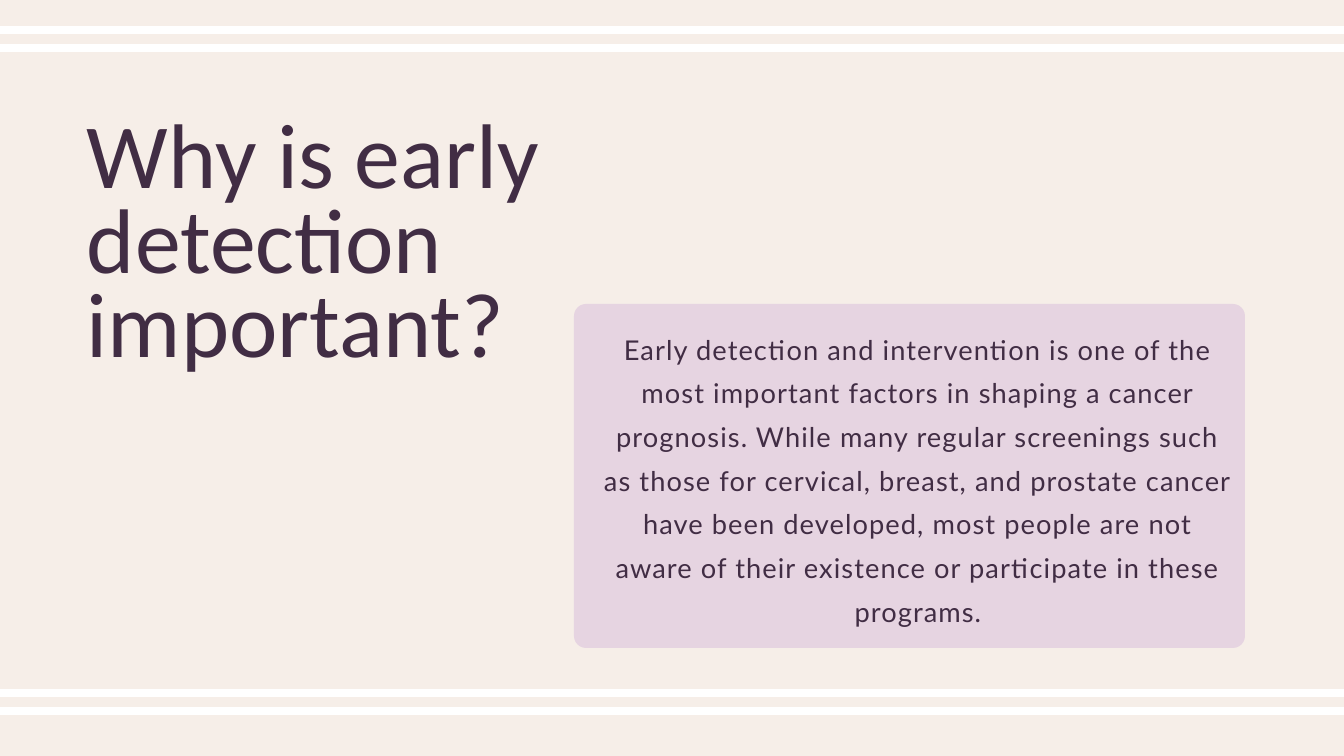
from lxml import etree
from pptx import Presentation
from pptx.dml.color import RGBColor
from pptx.enum.shapes import MSO_CONNECTOR as Connector, MSO_SHAPE as Shape
from pptx.enum.text import MSO_AUTO_SIZE as AutoSize, PP_ALIGN as Align
from pptx.oxml.ns import qn
from pptx.util import Emu, Pt

CREAM = RGBColor(0xF6, 0xEE, 0xE8)
WHITE = RGBColor(0xFF, 0xFF, 0xFF)
LILAC = RGBColor(0xE6, 0xD4, 0xE1)
PLUM = RGBColor(0x41, 0x2D, 0x44)

# Content: boxes are left, top, width, height in px
TITLE = dict(
    text="Why is early detection important?",
    box=(87, 123, 485, 259), font="Calibri", size=98.3, line_height=90.4,
    align=Align.LEFT, tracking=0,
)
BODY = dict(
    text="Early detection and intervention is one of the most important factors "
         "in shaping a cancer prognosis. While many regular screenings such as "
         "those for cervical, breast, and prostate cancer have been developed, "
         "most people are not aware of their existence or participate in these "
         "programs.",
    box=(602, 322, 632, 300), font="Lato", size=29.2, line_height=46.8,
    align=Align.CENTER, tracking=1.2,
)
CARD_BOX = (574, 304, 671, 344)
CARD_RADIUS = 12
STRIPE_LENGTH = 1457
STRIPE_STARTS = [(-71, 48), (-60, 30), (-42, 711), (-31, 693)]


def px(value):
    return Emu(round(value * 914400 / 67.2))


def add_stripe(slide, left, y):
    stripe = slide.shapes.add_connector(
        Connector.STRAIGHT, px(left), px(y), px(left + STRIPE_LENGTH), px(y))
    stripe.line.color.rgb = WHITE
    stripe.line.width = Pt(9)
    etree.SubElement(stripe._element.spPr, qn("a:effectLst"))


def add_card(slide):
    card = slide.shapes.add_shape(Shape.ROUNDED_RECTANGLE, *map(px, CARD_BOX))
    card.adjustments[0] = CARD_RADIUS / min(CARD_BOX[2:])
    card.shadow.inherit = False
    card.fill.solid()
    card.fill.fore_color.rgb = LILAC
    card.line.fill.background()


def add_text(slide, text, box, font, size, line_height, align, tracking):
    frame = slide.shapes.add_textbox(*map(px, box)).text_frame
    frame.word_wrap = True
    frame.auto_size = AutoSize.SHAPE_TO_FIT_TEXT
    frame.margin_left = frame.margin_right = 0
    frame.margin_top = frame.margin_bottom = 0
    paragraph = frame.paragraphs[0]
    paragraph.alignment = align
    paragraph.line_spacing = Pt(line_height)
    run = paragraph.add_run()
    run.text = text
    run.font.name = font
    run.font.size = Pt(size)
    run.font.color.rgb = PLUM
    if tracking:
        run._r.get_or_add_rPr().set("spc", str(round(tracking * 100)))


def main():
    presentation = Presentation()
    presentation.slide_width = px(1344)
    presentation.slide_height = px(756)
    slide = presentation.slides.add_slide(presentation.slide_layouts[6])
    slide.background.fill.solid()
    slide.background.fill.fore_color.rgb = CREAM

    # Stripes along the top and bottom edges
    for left, y in STRIPE_STARTS:
        add_stripe(slide, left, y)

    # Title, then the card with its text
    add_card(slide)
    add_text(slide, **TITLE)
    add_text(slide, **BODY)

    presentation.save("out.pptx")


if __name__ == "__main__":
    main()
